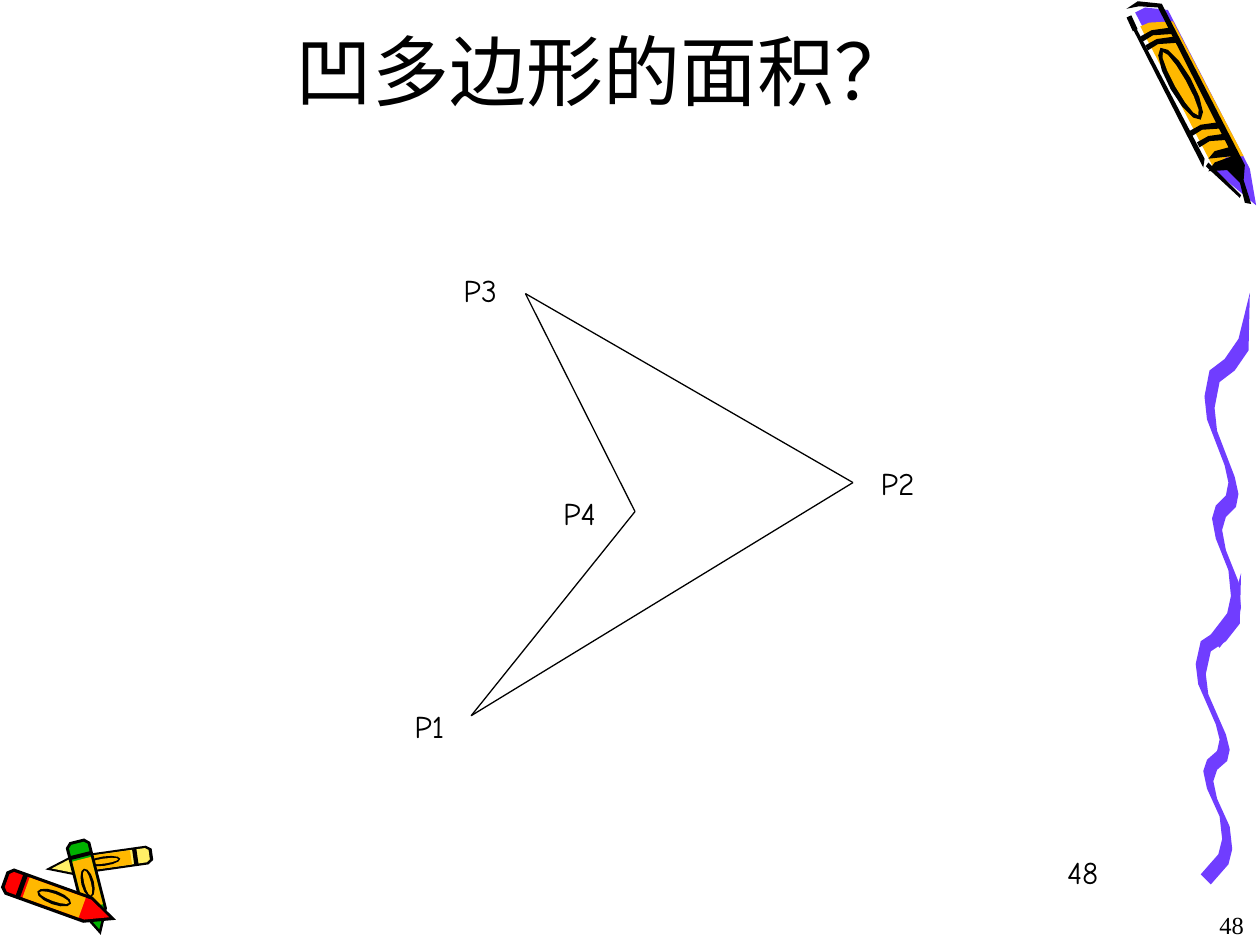
import math

import pptx
import pptx.dml.color
import pptx.enum.shapes
import pptx.enum.text
import pptx.oxml.ns
import pptx.util
from lxml import etree

PX = 9144  # EMU per px, at 100 px to the inch
BLACK, VIOLET, AMBER = "000000", "703DFF", "FFB800"
CREAM, RED, GREEN = "FFEF66", "FF0000", "00B200"
SERIF, COMIC = "Times New Roman", "Comic Neue"

# Small crayons from back to front: colour of the ends, butt, tip, width.
SMALL_CRAYONS = [
    (CREAM, (121, 678), (36, 690), 15),
    (GREEN, (61, 667), (80, 742), 20),
    (RED, (3, 698), (92, 730), 22),
]
# Half outlines of a small crayon: share of its length, share of its width.
CASE = [(0, 0.3), (0.05, 0.5), (0.75, 0.5), (1, 0)]
ENDS = [(0.03, 0.25), (0.06, 0.38), (0.75, 0.38), (0.94, 0)]
BODY = [(0.2, 0.38), (0.7, 0.38)]
BAND = [(0.14, 0.4), (0.18, 0.4)]
OVAL = [(0.5 - math.cos(math.pi * step / 6) / 2, math.sin(math.pi * step / 6) / 2)
        for step in range(7)]

# Left edge of the lower squiggle, going up; the right edge runs beside it.
SQUIGGLE = [(953, 694), (967, 678), (970, 666), (968, 648), (958, 626), (955, 612), (958, 603),
            (966, 596), (968, 587), (965, 575), (951, 543), (949, 527), (953, 509), (965, 501),
            (976, 487), (985, 455)]
RIBBON = 8
UPPER_SHIFT, UPPER_STRETCH, UPPER_FOOT = 7, 1.14, 505

BIG_CRAYON = [
    (VIOLET, [(901, 10), (967, 138), (997, 163), (992, 134), (927, 8), (909, 6)]),
    (AMBER, [(963, 133), (973, 125), (987, 124), (931, 17), (912, 18), (905, 21)]),
    (BLACK, [(957, 132), (984, 157), (985, 155), (959, 129)]),
    (BLACK, [(897, 19), (955, 133), (956, 126), (900, 19)]),
    (BLACK, [(894, 7), (903, 1), (922, 3), (988, 131), (987, 143), (993, 162), (988, 161),
             (984, 145), (974, 135), (959, 136), (964, 129), (978, 124), (959, 126), (964, 120),
             (975, 117), (919, 6), (904, 5)]),
]
STRIPE = [(0, 0), (8, -5), (23, -6), (21, -11), (7, -9), (-2, -4)]
STRIPE_STARTS = [(907, 33), (911, 40), (946, 108), (952, 117)]
BIG_OVAL = (921, 38), (953, 95)
CRAYON_EDGE = [(896, 13), (901, 24)]

# Polygon corners in order, each with the top left of its label.
CORNERS = [
    ("P1", (374, 568), (319, 556)),
    ("P2", (677, 383), (689, 363)),
    ("P3", (417, 233), (358, 210)),
    ("P4", (504, 406), (437, 387)),
]


def along(start, end, share):
    return tuple(a + (b - a) * share for a, b in zip(start, end))


def mirrored(half, start, end, width):
    """Outline whose half profile is laid on both sides of the axis from start to end."""
    length = math.dist(start, end)
    across_x, across_y = (start[1] - end[1]) / length, (end[0] - start[0]) / length
    profile = half + [(share, -side) for share, side in reversed(half)]
    points = []
    for share, side in profile:
        x, y = along(start, end, share)
        points.append((x + side * width * across_x, y + side * width * across_y))
    return points


def ring(start, end, width, inner=0.76):
    margin = (1 - inner) / 2
    core = along(start, end, margin / 2), along(start, end, 1 - margin / 2)
    return [(BLACK, mirrored(OVAL, start, end, width)),
            (AMBER, mirrored(OVAL, *core, width * inner * 0.7))]


def small_crayon(color, start, end, width):
    layers = [(BLACK, CASE), (color, ENDS), (AMBER, BODY), (BLACK, BAND)]
    outlines = [(fill, mirrored(half, start, end, width)) for fill, half in layers]
    return outlines + ring(along(start, end, 0.3), along(start, end, 0.6), width / 2)


def squiggles():
    right = [(x + RIBBON, y + RIBBON) for x, y in SQUIGGLE[:-1]]
    lower = SQUIGGLE + right[::-1]
    foot = SQUIGGLE[0][1]
    upper = [(x + UPPER_SHIFT, UPPER_FOOT + (y - foot) * UPPER_STRETCH) for x, y in lower]
    return [(VIOLET, lower), (VIOLET, upper)]


def big_crayon():
    stripes = [(BLACK, [(left + x, top + y) for x, y in STRIPE]) for left, top in STRIPE_STARTS]
    return BIG_CRAYON + stripes + ring(*BIG_OVAL, 18)


def paint(color_format, hex_color):
    color_format.rgb = pptx.dml.color.RGBColor.from_string(hex_color)


def add_drawing(shapes, outlines):
    group = shapes.add_group_shape()
    for color, points in outlines:
        corners = [(round(x * PX), round(y * PX)) for x, y in points]
        builder = group.shapes.build_freeform(*corners[0])
        builder.add_line_segments(corners[1:], close=True)
        shape = builder.convert_to_shape()
        shape.shadow.inherit = False
        shape.fill.solid()
        paint(shape.fill.fore_color, color)
        shape.line.fill.background()
    return group


def add_line(shapes, start, end, width):
    line = shapes.add_connector(pptx.enum.shapes.MSO_CONNECTOR.STRAIGHT,
                                *(value * PX for value in (*start, *end)))
    paint(line.line.color, BLACK)
    line.line.width = pptx.util.Pt(width)
    etree.SubElement(line._element.spPr, pptx.oxml.ns.qn("a:effectLst"))


def add_text(shapes, text, left, top, width, height, size=18, font=COMIC, align="LEFT",
             anchor="TOP", inset=(10, 5), before=0, indent=0):
    box = shapes.add_textbox(*(value * PX for value in (left, top, width, height)))
    frame = box.text_frame
    frame.word_wrap = True
    frame.vertical_anchor = pptx.enum.text.MSO_ANCHOR[anchor]
    frame.margin_left = frame.margin_right = inset[0] * PX
    frame.margin_top = frame.margin_bottom = inset[1] * PX
    para = frame.paragraphs[0]
    para.alignment = pptx.enum.text.PP_ALIGN[align]
    para.space_before = pptx.util.Pt(before)
    para._p.get_or_add_pPr().set("marL", str(indent * PX))
    span = para.add_run()
    span.text = text
    span.font.size = pptx.util.Pt(size)
    span.font.name = font
    paint(span.font.color, BLACK)


def main():
    deck = pptx.Presentation()
    deck.slide_width, deck.slide_height = 1000 * PX, 750 * PX
    shapes = deck.slides.add_slide(deck.slide_layouts[6]).shapes

    add_drawing(shapes, [outline for crayon in SMALL_CRAYONS for outline in small_crayon(*crayon)])
    add_drawing(shapes, squiggles())
    crayon_group = add_drawing(shapes, big_crayon())
    add_line(crayon_group.shapes, *CRAYON_EDGE, width=3)

    add_text(shapes, "48", 958, 717, 50, 34, size=14, font=SERIF)
    add_text(shapes, "48", 787, 672, 208, 42, indent=50)
    add_text(shapes, "凹多边形的面积？", 75, 17, 808, 75, size=44, font=SERIF,
             align="CENTER", anchor="BOTTOM", inset=(0, 0))

    polygon = shapes.add_group_shape().shapes
    for index, (label, corner, label_at) in enumerate(CORNERS):
        next_corner = CORNERS[(index + 1) % len(CORNERS)][1]
        add_line(polygon, corner, next_corner, width=0.75)
        add_text(polygon, label, *label_at, 79, 40, before=11.2)

    deck.save("out.pptx")


if __name__ == "__main__":
    main()
